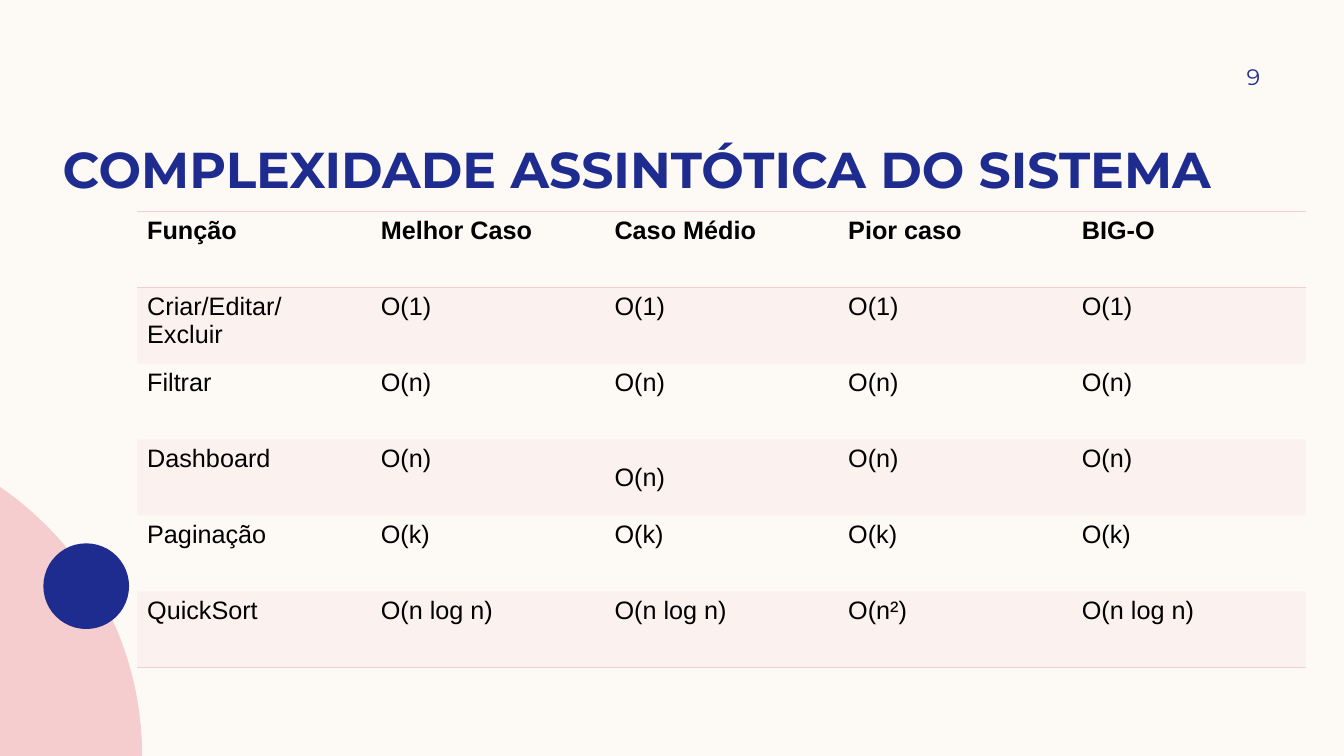
from lxml import etree
from pptx import Presentation
from pptx.dml.color import RGBColor
from pptx.enum.shapes import MSO_SHAPE
from pptx.enum.text import MSO_ANCHOR, PP_ALIGN
from pptx.oxml.ns import qn
from pptx.util import Inches, Pt

CREAM = RGBColor(0xFD, 0xFA, 0xF6)
PINK = RGBColor(0xF5, 0xCD, 0xCE)
NAVY = RGBColor(0x1F, 0x2C, 0x8F)
BLACK = RGBColor(0, 0, 0)
OVAL = MSO_SHAPE.OVAL
TOP, MIDDLE, BOTTOM = MSO_ANCHOR.TOP, MSO_ANCHOR.MIDDLE, MSO_ANCHOR.BOTTOM
LEFT, RIGHT = PP_ALIGN.LEFT, PP_ALIGN.RIGHT
PLAIN_STYLE = "{2D5ABB26-0587-4C30-8999-92F81FD0307C}"

HEAD = ["Função", "Melhor Caso", "Caso Médio", "Pior caso", "BIG-O"]
COSTS = [
    ["Criar/Editar/\nExcluir"] + ["O(1)"] * 4,
    ["Filtrar"] + ["O(n)"] * 4,
    ["Dashboard"] + ["O(n)"] * 4,
    ["Paginação"] + ["O(k)"] * 4,
    ["QuickSort", "O(n log n)", "O(n log n)", "O(n²)", "O(n log n)"],
]


def write(frame, text, font="Montserrat", size=16, color=NAVY, bold=False,
          align=LEFT):
    para = frame.paragraphs[0]
    para.text = text
    para.alignment = align
    for run in para.runs:
        run.font.name = font
        run.font.size = Pt(size)
        run.font.bold = bold
        run.font.color.rgb = color


def paint(shape, color):
    shape.shadow.inherit = False
    shape.fill.solid()
    shape.fill.fore_color.rgb = color
    shape.line.fill.background()


def curve(start, pull1, pull2, end, steps=40):
    """Points along a cubic curve."""
    points = []
    for i in range(1, steps + 1):
        t = i / steps
        parts = ((1 - t) ** 3, 3 * t * (1 - t) ** 2, 3 * t * t * (1 - t), t ** 3)
        points.append(tuple(
            sum(w * p[axis] for w, p in zip(parts, (start, pull1, pull2, end)))
            for axis in (0, 1)))
    return points


def add_decor(slide, left, top, width, height):
    # Pink arc in the corner
    arc = curve((0, 0), (0.6 * width, 0.22 * height),
                (width, 0.58 * height), (width, height))
    points = [(Inches(left + x), Inches(top + y)) for x, y in arc]
    points.append((Inches(left), Inches(top + height)))
    pen = slide.shapes.build_freeform(Inches(left), Inches(top))
    pen.add_line_segments(points, close=True)
    paint(pen.convert_to_shape(), PINK)

    # Navy dot on its edge
    dot = slide.shapes.add_shape(OVAL, Inches(left + 0.43), Inches(top + 0.56),
                                 Inches(0.85), Inches(0.85))
    paint(dot, NAVY)


def add_title(slide, left, top, width, height):
    title = slide.shapes.title
    title.left, title.top = Inches(left), Inches(top)
    title.width, title.height = Inches(width), Inches(height)
    frame = title.text_frame
    frame.word_wrap = True
    frame.vertical_anchor = BOTTOM
    frame.margin_top = frame.margin_bottom = 0
    write(frame, "COMPLEXIDADE ASSINTÓTICA DO SISTEMA", size=36, bold=True)


def add_number(slide, left, top, width, height):
    box = slide.shapes.add_textbox(Inches(left), Inches(top),
                                   Inches(width), Inches(height))
    frame = box.text_frame
    frame.word_wrap = True
    frame.vertical_anchor = MIDDLE
    frame.margin_right = 0
    write(frame, "9", align=RIGHT)


def add_rule(cell, side):
    """Draw a border; call before the fill is set, as the schema orders."""
    line = etree.SubElement(cell._tc.get_or_add_tcPr(), qn("a:" + side),
                            w=str(Pt(1)))
    fill = etree.SubElement(line, qn("a:solidFill"))
    etree.SubElement(fill, qn("a:srgbClr"), val=str(PINK))


def tint(cell, percent):
    cell.fill.solid()
    cell.fill.fore_color.rgb = PINK
    color = cell._tc.tcPr.find(qn("a:solidFill")).find(qn("a:srgbClr"))
    etree.SubElement(color, qn("a:alpha"), val=str(percent * 1000))


def add_costs(slide, left, top, width, height):
    rows = [HEAD] + COSTS
    table = slide.shapes.add_table(len(rows), len(HEAD), Inches(left), Inches(top),
                                   Inches(width), Inches(height)).table
    table.horz_banding = False
    table._tbl.tblPr.find(qn("a:tableStyleId")).text = PLAIN_STYLE
    for r, row in enumerate(rows):
        for c, text in enumerate(row):
            cell = table.cell(r, c)
            write(cell.text_frame, text, font="Arial", size=18, color=BLACK,
                  bold=r == 0)
            cell.vertical_anchor = MIDDLE if (r, c) == (3, 2) else TOP
            if r == 0:
                add_rule(cell, "lnT")
            if r in (0, len(rows) - 1):
                add_rule(cell, "lnB")
            if r % 2:
                tint(cell, 20)
            else:
                cell.fill.background()


def main():
    deck = Presentation()
    deck.slide_width, deck.slide_height = Inches(13.33), Inches(7.5)
    slide = deck.slides.add_slide(deck.slide_layouts.get_by_name("Title Only"))
    slide.background.fill.solid()
    slide.background.fill.fore_color.rgb = CREAM
    add_decor(slide, 0, 4.83, 1.41, 2.67)
    add_title(slide, 0.52, 0.88, 12.29, 1.09)
    add_number(slide, 11.42, 0.5, 1.08, 0.52)
    add_costs(slide, 1.36, 2.1, 11.59, 4.52)
    deck.save("out.pptx")


if __name__ == "__main__":
    main()
